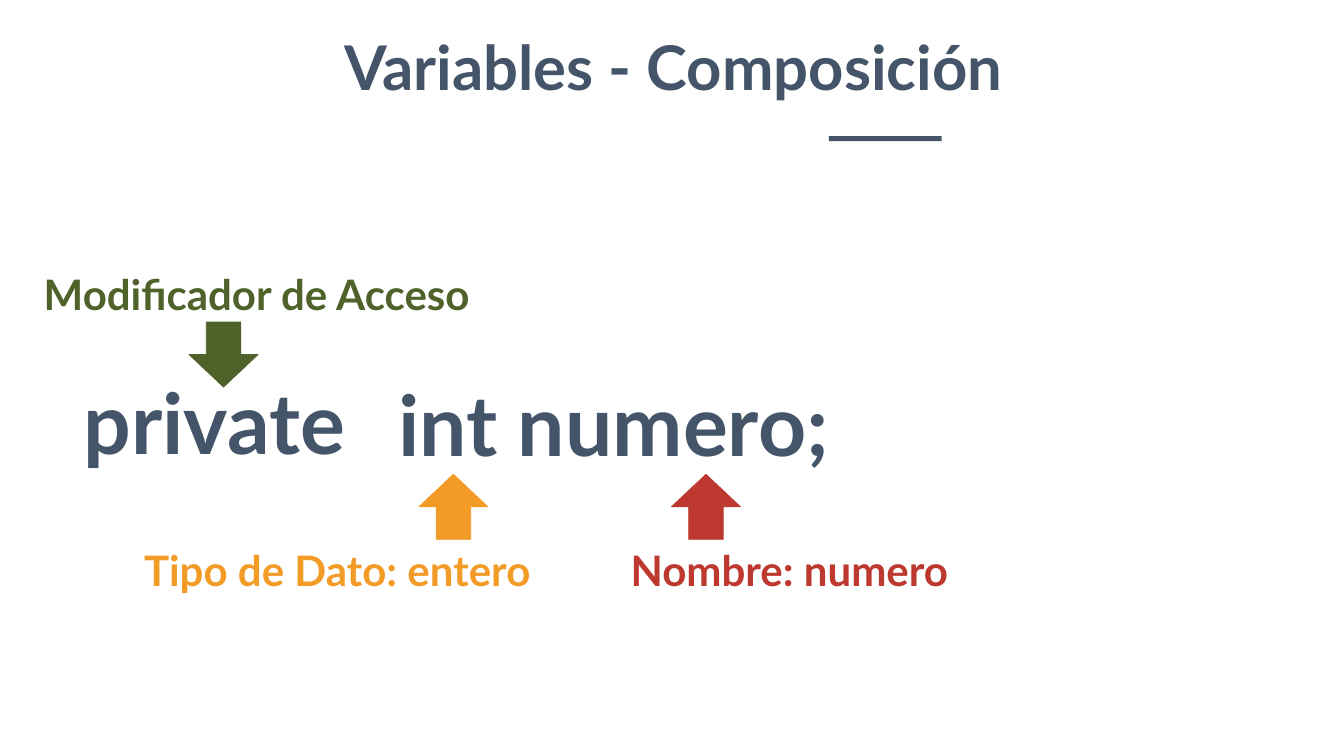
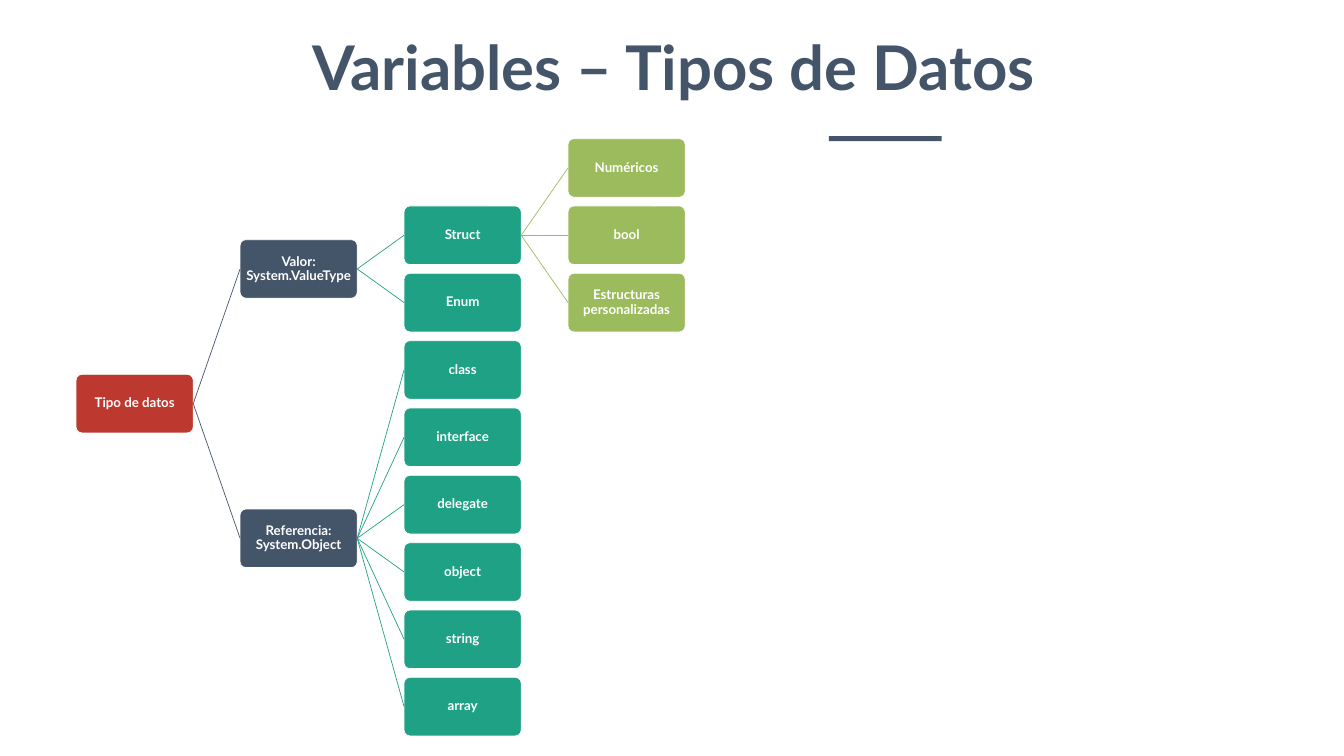
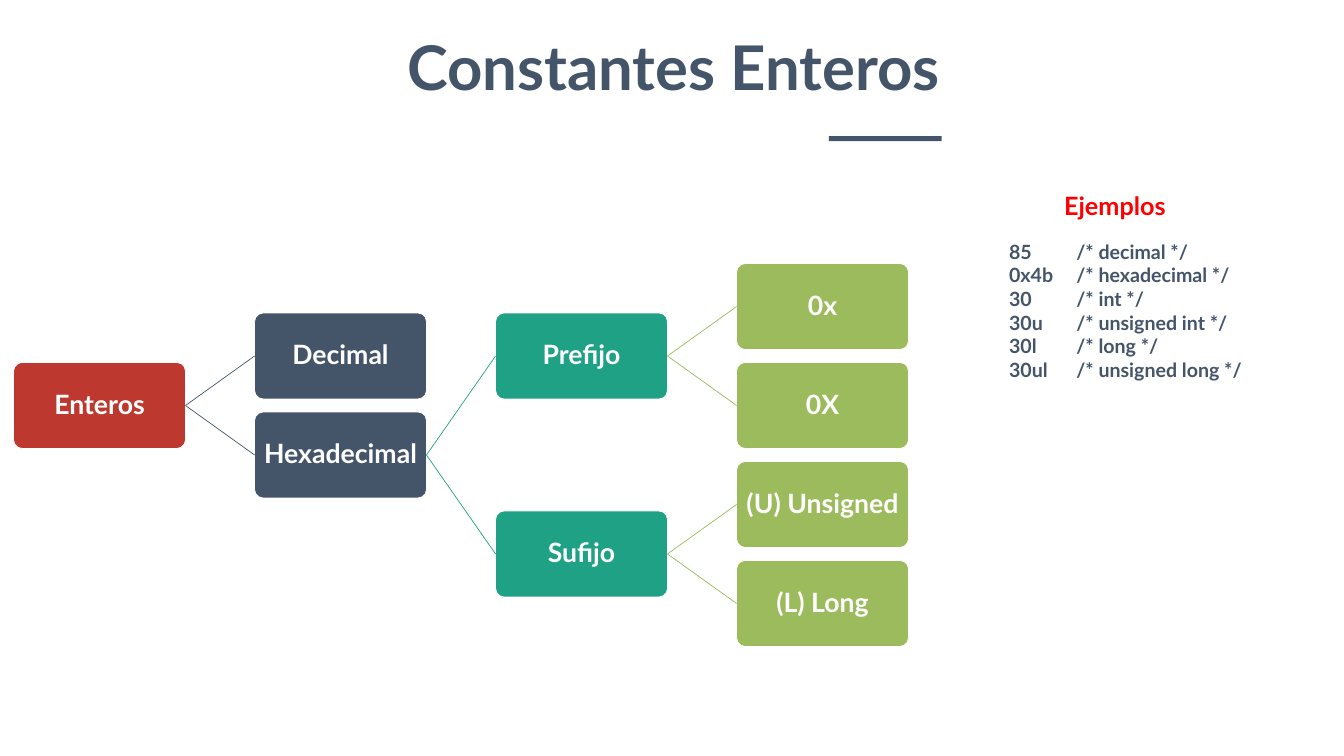
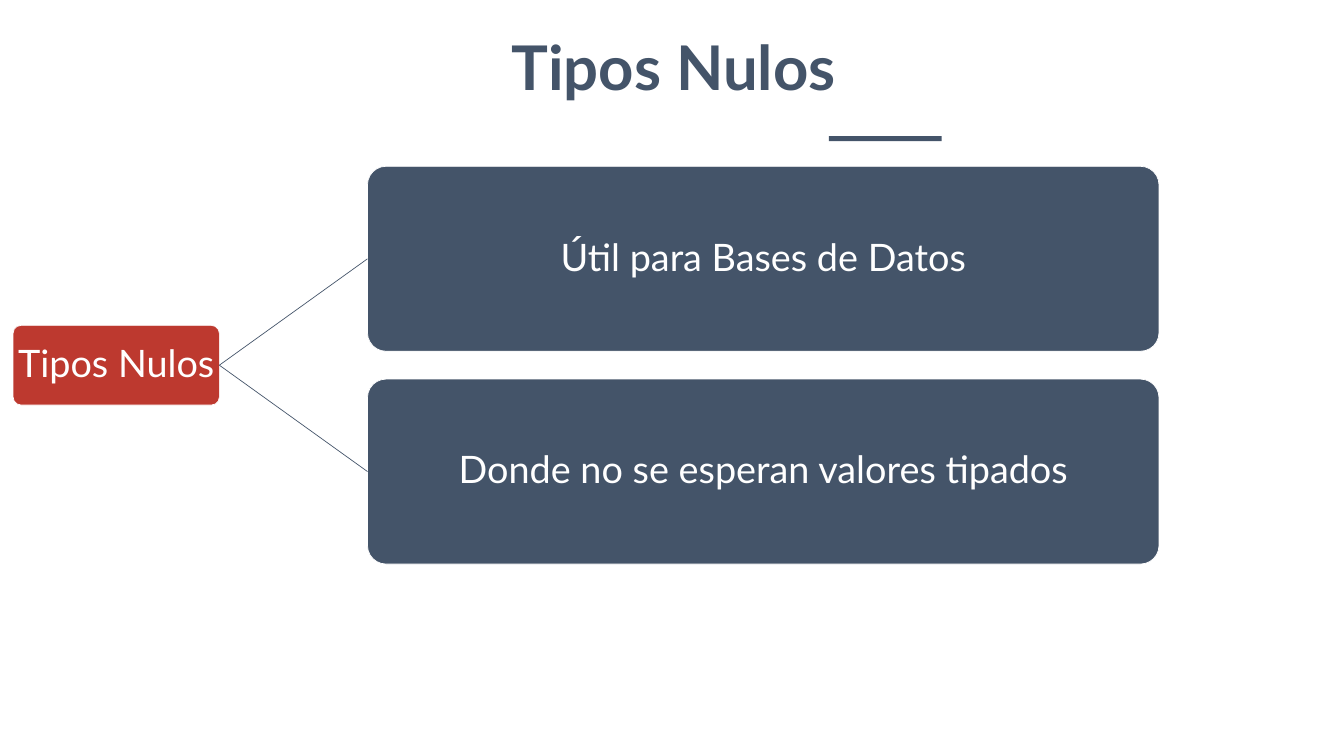
"""Builds four slides about variables, data types, integer constants and null types."""
import dataclasses

import pptx
import pptx.dml.color
import pptx.enum.shapes
import pptx.enum.text
import pptx.oxml.ns
import pptx.util
from lxml import etree

Pt = pptx.util.Pt
Shape = pptx.enum.shapes.MSO_SHAPE
Align = pptx.enum.text.PP_ALIGN

FONT = "Lato"
NAVY, RED, TEAL, LIME = "445469", "BD392F", "1EA185", "9BBB5C"
ORANGE, OLIVE, BRIGHT_RED, WHITE = "F29B26", "4F6229", "FF0000", "FFFFFF"
LEVEL_COLOURS = (RED, NAVY, TEAL, LIME)


@dataclasses.dataclass
class Node:
    """A box of a tree; one with children is centred on them."""
    text: str
    children: tuple = ()
    row: float = 0

    def __post_init__(self):
        """Take the row from the first and last child."""
        if self.children:
            self.row = (self.children[0].row + self.children[-1].row) / 2


def paint(colour_format, colour):
    """Apply a hex colour to a fill, line or font."""
    if hasattr(colour_format, "solid"):
        colour_format.solid()
        colour_format = colour_format.fore_color
    else:
        colour_format = colour_format.color
    colour_format.rgb = pptx.dml.color.RGBColor.from_string(colour)


def write(frame, text, size, colour=NAVY, bold=True, align=Align.LEFT, spacing=None, tab=None):
    """Write one paragraph per line of text into a frame."""
    for index, line in enumerate(text.split("\n")):
        paragraph = frame.paragraphs[0] if index == 0 else frame.add_paragraph()
        paragraph.alignment = align
        if spacing:
            paragraph.line_spacing = spacing
        if tab:
            properties = paragraph._p.get_or_add_pPr()
            stops = etree.SubElement(properties, pptx.oxml.ns.qn("a:tabLst"))
            etree.SubElement(stops, pptx.oxml.ns.qn("a:tab"), pos=str(Pt(tab)), algn="l")
        run = paragraph.add_run()
        run.text = line
        run.font.name, run.font.size, run.font.bold = FONT, Pt(size), bold
        paint(run.font, colour)


def add_label(slide, text, left, top, width, height, size, wrap=False, **text_format):
    """Add free-standing text."""
    label = slide.shapes.add_textbox(Pt(left), Pt(top), Pt(width), Pt(height))
    label.text_frame.word_wrap = wrap
    label.text_frame.auto_size = pptx.enum.text.MSO_AUTO_SIZE.SHAPE_TO_FIT_TEXT
    write(label.text_frame, text, size, **text_format)


def add_block(slide, kind, left, top, width, height, fill, outline=None):
    """Add a filled preset shape without a shadow."""
    block = slide.shapes.add_shape(kind, Pt(left), Pt(top), Pt(width), Pt(height))
    block.shadow.inherit = False
    paint(block.fill, fill)
    if outline:
        paint(block.line, outline)
        block.line.width = Pt(1)
    else:
        block.line.fill.background()
    return block


def add_arrow(slide, kind, left, top, colour):
    """Add a block arrow that points at a part of the declaration."""
    add_block(slide, kind, left, top, 98.6, 92.9, colour, colour)


def add_branch(slide, parent, child, colour):
    """Join the right side of a parent to the left side of its child."""
    branch = slide.shapes.add_connector(pptx.enum.shapes.MSO_CONNECTOR.STRAIGHT, 0, 0, 0, 0)
    branch.begin_connect(parent, 3)
    branch.end_connect(child, 1)
    paint(branch.line, colour)
    branch.line.width = Pt(1)
    etree.SubElement(branch._element.spPr, pptx.oxml.ns.qn("a:effectLst"))


def add_tree(slide, node, columns, first_middle, pitch, inset, level=0, **text_format):
    """Draw a node and everything to its right; columns hold left, width and height."""
    left, width, height = columns[level]
    top = first_middle + node.row * pitch - height / 2
    box = add_block(slide, Shape.ROUNDED_RECTANGLE, left, top, width, height,
                    LEVEL_COLOURS[level], WHITE)
    box.adjustments[0] = 0.1
    frame = box.text_frame
    frame.word_wrap = True
    frame.vertical_anchor = pptx.enum.text.MSO_ANCHOR.MIDDLE
    frame.margin_left = frame.margin_right = frame.margin_top = frame.margin_bottom = Pt(inset)
    write(frame, node.text, colour=WHITE, align=Align.CENTER, spacing=0.9, **text_format)
    for child in node.children:
        child_box = add_tree(slide, child, columns, first_middle, pitch, inset,
                             level + 1, **text_format)
        add_branch(slide, box, child_box, LEVEL_COLOURS[level + 1])
    return box


def even_columns(left, step, width, height, count=4):
    """List equal columns at a regular step."""
    return [(left + step * index, width, height) for index in range(count)]


def leaves(*texts, first_row=0):
    """Make childless nodes on successive rows."""
    return tuple(Node(text, row=first_row + index) for index, text in enumerate(texts))


def add_titled_slide(deck, title):
    """Add a blank slide with the shared title and its short bar."""
    slide = deck.slides.add_slide(deck.slide_layouts[6])
    add_label(slide, title, 18.7, 38.2, 1886.4, 113.8, 88, wrap=True, align=Align.CENTER)
    add_block(slide, Shape.RECTANGLE, 1183.7, 194.4, 161.3, 7.2, NAVY)
    return slide


def add_composition(deck):
    """Show the parts of a variable declaration."""
    slide = add_titled_slide(deck, "Variables - Composición")
    add_label(slide, "private", 112.3, 526.3, 414, 152.6, 120)
    add_label(slide, "int numero;", 561.6, 528.5, 681.1, 152.6, 120)
    add_label(slide, "Modificador de Acceso", 55.4, 379.4, 665.3, 79.9, 60, colour=OLIVE)
    add_label(slide, "Tipo de Dato: entero", 198.7, 774, 602.6, 79.9, 60, colour=ORANGE)
    add_label(slide, "Nombre: numero", 893.5, 774, 504.7, 79.9, 60, colour=RED)
    add_arrow(slide, Shape.DOWN_ARROW, 270, 460.1, OLIVE)
    add_arrow(slide, Shape.UP_ARROW, 598.3, 677.5, ORANGE)
    add_arrow(slide, Shape.UP_ARROW, 959, 677.5, RED)


def add_data_types(deck):
    """Show the tree of data types."""
    slide = add_titled_slide(deck, "Variables – Tipos de Datos")
    struct = Node("Struct", leaves("Numéricos", "bool", "Estructuras personalizadas"))
    value = Node("Valor: System.ValueType", (struct, Node("Enum", row=2)))
    reference = Node("Referencia: System.Object", leaves(
        "class", "interface", "delegate", "object", "string", "array", first_row=3))
    add_tree(slide, Node("Tipo de datos", (value, reference)),
             even_columns(108.7, 234.2, 167.3, 83.6), 239.9, 96.2, 1, size=19)


def add_integer_constants(deck):
    """Show the tree of integer constants with examples."""
    slide = add_titled_slide(deck, "Constantes Enteros")
    prefix = Node("Prefijo", leaves("0x", "0X"))
    suffix = Node("Sufijo", leaves("(U) Unsigned", "(L) Long", first_row=2))
    hexadecimal = Node("Hexadecimal", (prefix, suffix))
    add_tree(slide, Node("Enteros", (Node("Decimal", row=0.5), hexadecimal)),
             even_columns(19.4, 344.2, 245.5, 122.8), 437.9, 141.4, 2, size=38)
    examples = (("85", "decimal"), ("0x4b", "hexadecimal"), ("30", "int"),
                ("30u", "unsigned int"), ("30l", "long"), ("30ul", "unsigned long"))
    add_label(slide, "Ejemplos", 1512.7, 267.8, 168.5, 51.1, 36, colour=BRIGHT_RED)
    add_label(slide, "\n".join(f"{value}\t/* {kind} */" for value, kind in examples),
              1434.2, 339.1, 383.8, 254.2, 28, tab=96)


def add_null_types(deck):
    """Show the uses of null types."""
    slide = add_titled_slide(deck, "Tipos Nulos")
    uses = leaves("Útil para Bases de Datos", "Donde no se esperan valores tipados")
    columns = [(18.7, 294.6, 113.8), (524.9, 1130.4, 264.2)]
    add_tree(slide, Node("Tipos Nulos", uses), columns, 369.7, 304, 2, size=54, bold=False)


def main():
    """Build and save the deck."""
    deck = pptx.Presentation()
    deck.slide_width, deck.slide_height = Pt(1919.5), Pt(1080)
    add_composition(deck)
    add_data_types(deck)
    add_integer_constants(deck)
    add_null_types(deck)
    deck.save("out.pptx")


if __name__ == "__main__":
    main()
